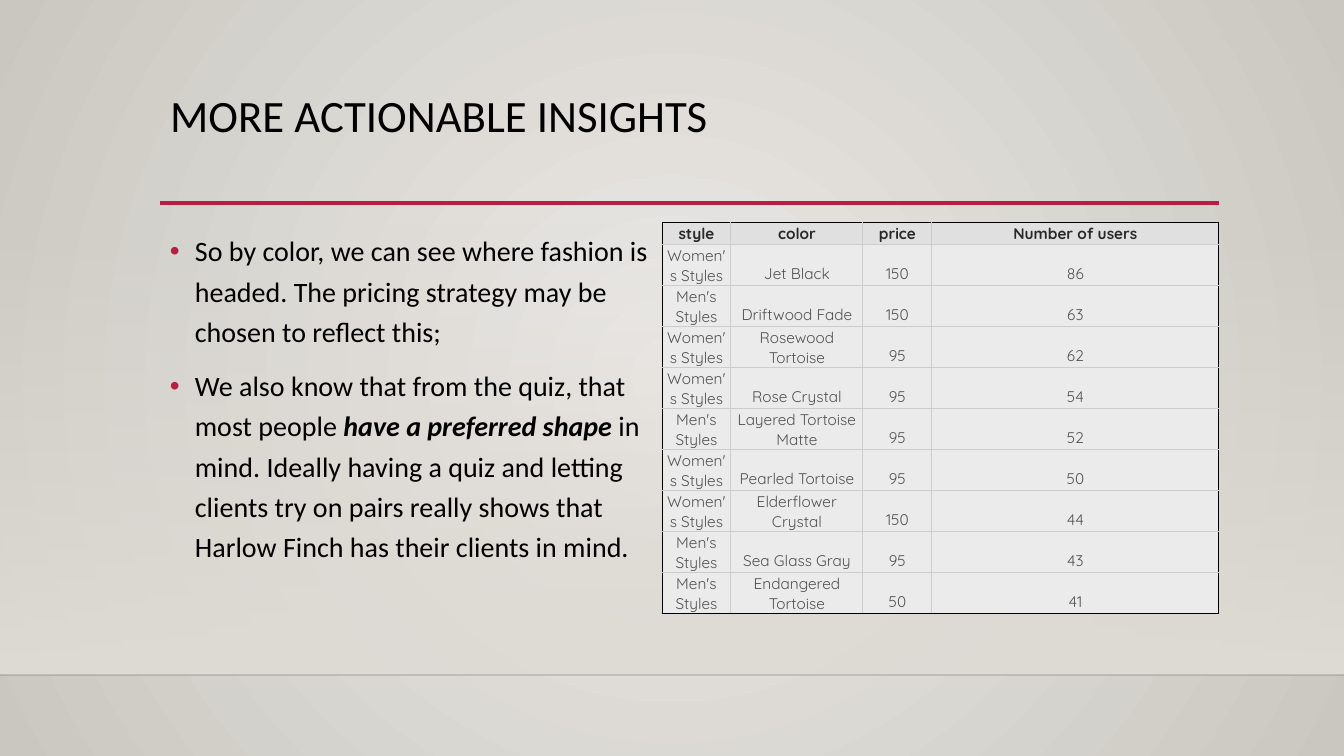
from dataclasses import dataclass

from pptx import Presentation
from pptx.dml.color import RGBColor
from pptx.enum.shapes import MSO_CONNECTOR as CONN, MSO_SHAPE as SHAPE
from pptx.enum.text import MSO_ANCHOR as ANCHOR, PP_ALIGN as ALIGN
from pptx.oxml.ns import qn
from pptx.oxml.xmlchemy import OxmlElement as Elem
from pptx.util import Emu, Pt

EMU_PER_PX = 914400 / 100.8


@dataclass(frozen=True)
class Theme:
    """Colours, fonts and type sizes of the slide."""
    ink: str = "000000"
    accent: str = "B71E42"
    glow: str = "ECEAE7"
    edge: str = "CAC7C1"
    wall: str = "DFDBD5"
    floor_line: str = "000001"
    head_fill: str = "E0E0E0"
    head_ink: str = "292929"
    cell_fill: str = "EBEBEB"
    cell_ink: str = "525252"
    grid: str = "CCCCCC"
    font: str = "Calibri"
    table_font: str = "Quicksand"
    title_size: int = 32
    body_size: int = 20
    table_size: int = 11
    grid_width: float = 0.75


def px(n):
    """Turn whole pixels into EMU."""
    return Emu(round(n * EMU_PER_PX))


def rgb(code):
    """Turn a hex code into a colour."""
    return RGBColor.from_string(code)


def assign(obj, values):
    """Set attributes of an object from a dict."""
    for name, value in values.items():
        setattr(obj, name, value)


def child(parent, tag, **attrs):
    """Append a child element with attributes and return it."""
    el = Elem(tag)
    for name, value in attrs.items():
        el.set(name, str(value))
    parent.append(el)
    return el


def set_alpha(parent, percent):
    """Set the opacity of the first RGB colour inside an element."""
    child(parent.find(".//" + qn("a:srgbClr")), "a:alpha", val=percent * 1000)


class Deck:
    """Holds the theme and the current slide, and draws elements on it."""

    def __init__(self, prs, theme):
        """Add a title-only slide."""
        self.theme = theme
        self.slide = prs.slides.add_slide(prs.slide_layouts[5])
        self.shapes = self.slide.shapes

    def gradient(self, fill, colors):
        """Give a fill a two-colour gradient."""
        fill.gradient()
        for stop, color in zip(fill.gradient_stops, colors):
            stop.color.rgb = rgb(color)

    def background(self, inner, outer):
        """Fill the background from the centre outwards."""
        self.gradient(self.slide.background.fill, (inner, outer))
        grad = self.slide.element.find(".//" + qn("a:gradFill"))
        grad.remove(grad.find(qn("a:lin")))
        path = child(grad, "a:path", path="circle")
        child(path, "a:fillToRect", **dict.fromkeys("ltrb", 50000))

    def fade(self, box, color):
        """Draw a rectangle that fades in from top to bottom."""
        sp = self.shapes.add_shape(SHAPE.RECTANGLE, *map(px, box))
        sp.shadow.inherit = False
        sp.line.fill.background()
        self.gradient(sp.fill, (color, color))
        sp.fill.gradient_angle = 270
        set_alpha(sp.element.find(".//" + qn("a:gradFill")), 0)

    def rule(self, x1, x2, y, color, width, opacity=100):
        """Draw a horizontal line."""
        ln = self.shapes.add_connector(CONN.STRAIGHT, *map(px, (x1, y, x2, y)))
        ln.line.color.rgb = rgb(color)
        ln.line.width = Pt(width)
        child(ln.element.spPr, "a:effectLst")
        if opacity < 100:
            set_alpha(ln.element.spPr, opacity)

    def run(self, p, text, color, size, font, **style):
        """Add a formatted run to a paragraph."""
        r = p.add_run()
        r.text = text
        assign(r.font, {"name": font, "size": Pt(size), **style})
        r.font.color.rgb = rgb(color)

    def title(self, box, text):
        """Place and fill the title, in front of what is drawn so far."""
        t, sp = self.theme, self.shapes.title
        sp.element.getparent().append(sp.element)
        assign(sp, dict(zip(("left", "top", "width", "height"), map(px, box))))
        assign(sp.text_frame, {"word_wrap": True, "vertical_anchor": ANCHOR.TOP})
        p = sp.text_frame.paragraphs[0]
        assign(p, {"alignment": ALIGN.LEFT, "line_spacing": 0.9})
        self.run(p, text, t.ink, t.title_size, t.font)

    def bullets(self, box, items):
        """Write bulleted paragraphs, each a list of (text, style) runs."""
        t, indent = self.theme, px(25)
        tf = self.shapes.add_textbox(*map(px, box)).text_frame
        tf.word_wrap = True
        for i, runs in enumerate(items):
            p = tf.add_paragraph() if i else tf.paragraphs[0]
            assign(p, {"line_spacing": 1.2, "space_before": Pt(10)})
            pPr = p._p.get_or_add_pPr()
            pPr.set("marL", str(indent))
            pPr.set("indent", str(-indent))
            child(child(pPr, "a:buClr"), "a:srgbClr", val=t.accent)
            child(pPr, "a:buFont", typeface="Arial")
            child(pPr, "a:buChar", char="•")
            for text, style in runs:
                self.run(p, text, t.ink, t.body_size, t.font, **style)

    def borders(self, cell, colors):
        """Colour the left, right, top and bottom borders of a cell."""
        tcPr = cell._tc.get_or_add_tcPr()
        for side, color in zip("LRTB", colors):
            ln = child(tcPr, "a:ln" + side, w=Pt(self.theme.grid_width))
            child(child(ln, "a:solidFill"), "a:srgbClr", val=color)

    def table(self, left, top, widths, heights, rows):
        """Draw a table with a header row, a light grid and a dark frame."""
        t = self.theme
        box = map(px, (left, top, sum(widths), sum(heights)))
        tbl = self.shapes.add_table(len(rows), len(widths), *box).table
        assign(tbl, {"first_row": False, "horz_banding": False})
        for col, width in zip(tbl.columns, widths):
            col.width = px(width)
        for row, height in zip(tbl.rows, heights):
            row.height = px(height)
        last_row, last_col = len(rows) - 1, len(widths) - 1
        for i, values in enumerate(rows):
            fill, ink = (t.cell_fill, t.cell_ink) if i else (t.head_fill, t.head_ink)
            for j, value in enumerate(values):
                cell = tbl.cell(i, j)
                assign(cell, {"vertical_anchor": ANCHOR.BOTTOM,
                              "margin_left": px(3), "margin_right": px(3),
                              "margin_top": px(2), "margin_bottom": px(2)})
                outer = (j == 0, j == last_col, i == 0, i == last_row)
                self.borders(cell, [t.ink if o else t.grid for o in outer])
                cell.fill.solid()
                cell.fill.fore_color.rgb = rgb(fill)
                p = cell.text_frame.paragraphs[0]
                p.alignment = ALIGN.CENTER
                self.run(p, str(value), ink, t.table_size, t.table_font, bold=i == 0)


WOMEN, MEN = "Women's Styles", "Men's Styles"
FRAMES = [
    ("style", "color", "price", "Number of users"),
    (WOMEN, "Jet Black", 150, 86),
    (MEN, "Driftwood Fade", 150, 63),
    (WOMEN, "Rosewood Tortoise", 95, 62),
    (WOMEN, "Rose Crystal", 95, 54),
    (MEN, "Layered Tortoise Matte", 95, 52),
    (WOMEN, "Pearled Tortoise", 95, 50),
    (WOMEN, "Elderflower Crystal", 150, 44),
    (MEN, "Sea Glass Gray", 95, 43),
    (MEN, "Endangered Tortoise", 50, 41),
]
INSIGHTS = [
    [("So by color, we can see where fashion is headed. The pricing strategy "
      "may be chosen to reflect this; ", {})],
    [("We also know that from the quiz, that most people ", {}),
     ("have a preferred shape", {"bold": True, "italic": True}),
     (" in mind. Ideally having a quiz and letting clients try on pairs really "
      "shows that Harlow Finch has their clients in mind.", {})],
]

prs = Presentation()
assign(prs, {"slide_width": px(1344), "slide_height": px(756)})
theme = Theme()
deck = Deck(prs, theme)
deck.background(theme.glow, theme.edge)
deck.fade((0, 223, 1344, 452), theme.wall)
deck.rule(0, 1344, 675, theme.floor_line, 1, opacity=20)
deck.rule(160, 1219, 203, theme.accent, 2.5)
deck.title((160, 89, 1058, 116), "MORE ACTIONABLE INSIGHTS")
deck.bullets((160, 222, 502, 380), INSIGHTS)
deck.table(662, 222, (69, 132, 69, 287), [22] + [41] * (len(FRAMES) - 1), FRAMES)
prs.save("out.pptx")
